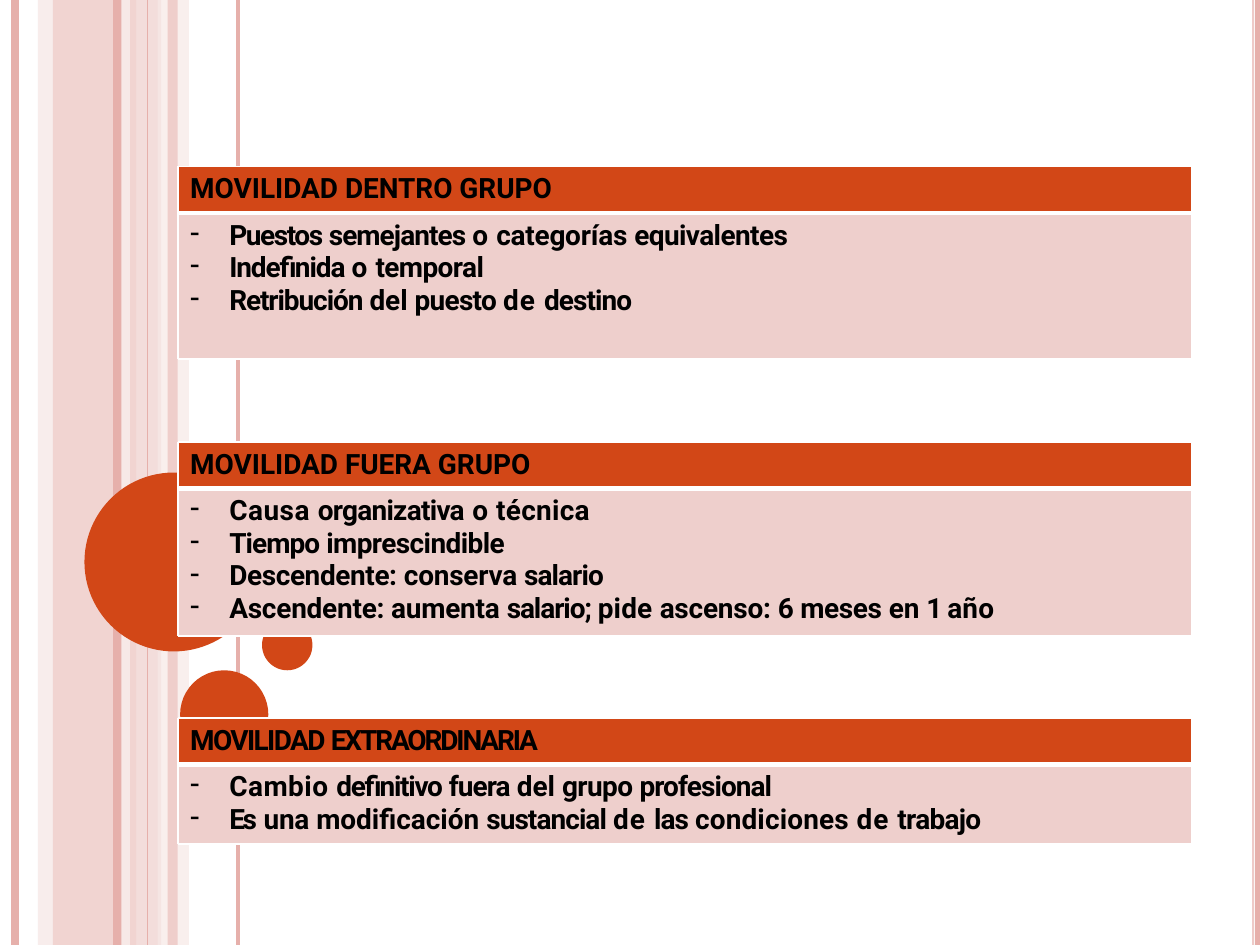
from dataclasses import dataclass
from lxml.etree import SubElement
from pptx import Presentation
from pptx.dml.color import RGBColor
from pptx.enum.shapes import MSO_CONNECTOR, MSO_SHAPE
from pptx.oxml.ns import qn
from pptx.util import Inches, Pt


@dataclass(frozen=True)
class Theme:
    accent: str = "D24717"
    rose: str = "E6B0AB"
    pale: str = "EECFCC"
    faint: str = "F7E9E7"
    white: str = "FFFFFF"
    text: str = "000000"
    font: str = "Roboto"
    size: float = 16
    rule: float = 1
    thick_rule: float = 3


THEME = Theme()

# Stripes: left, width, colour, opacity in percent
STRIPES = [
    (0.42, 0.49, THEME.rose, 54), (0.96, 0.01, THEME.rose, 54),
    (1.03, 0.05, THEME.rose, 54), (0.3, 0.12, THEME.pale, 36),
    (1.08, 0.2, THEME.pale, 70), (1.25, 0.25, THEME.faint, 71),
    (9.94, 0.01, THEME.rose, 100), (9.96, 0.04, THEME.rose, 100),
    (1.33, 0.08, THEME.rose, 51),
]
# Full-height lines: x, colour, width
LINES = [(0.12, THEME.rose, 4.56), (1, THEME.faint, 4.56),
         (0.93, THEME.rose, 4.56), (1.17, THEME.rose, 0.72)]
# Inner line, broken where the blocks cover it
INNER_X = 1.89
INNER_SPANS = [(0, 1.33), (2.85, 3.52), (3.88, 5.7), (6.7, 7.5)]
# Circles: left, top, diameter
CIRCLES = [(0.67, 3.75, 1.42), (1.43, 5.32, 0.7), (2.08, 4.92, 0.4)]

# Blocks: heading runs, bullet paragraphs, body height, gap below.
# A run is its text and its letter spacing in points.
BLOCKS = [
    ([("MOVILIDAD DENTRO GRUPO", 0)],
     [[("Puestos ", -0.8), ("semejantes ", -0.5), ("o ", 0.3),
       ("categorías ", -0.1), ("equivalentes", -0.3)],
      [("Indefinida ", -0.6), ("o ", 0.3), ("temporal", -0.3)],
      [("Retribución ", -0.6), ("del ", 0), ("puesto ", -0.4),
       ("de ", 0.6), ("destino", -0.5)]],
     1.16, 0.66),
    ([("MOVILIDAD FUERA GRUPO", 0)],
     [[("Causa ", 0.3), ("organizativa", -0.4), (" o ", 0.3), ("técnica", 0.2)],
      [("Tiempo ", -0.5), ("imprescindible", -0.3)],
      [("Descendente: ", -0.2), ("conserva ", -0.1), ("salario", -0.5)],
      [("Ascendente: aumenta ", -0.1), ("salario; ", -0.6), ("pide ", 0.1),
       ("ascenso: ", -0.1), ("6", -1.2), (" meses ", -0.2), ("en ", 0),
       ("1 ", -1.2), ("año", 0.1)]],
     1.17, 0.65),
    ([("MOVILIDAD ", -0.9), ("EXTRAORDINARIA", -1.2)],
     [[("Cambio ", 0.3), ("definitivo ", -0.7), ("fuera ", -0.5),
       ("del ", 0), ("grupo ", -0.3), ("profesional", -0.5)],
      [("Es", -1.4), (" una ", -0.1), ("modificación ", 0),
       ("sustancial ", -0.5), ("de ", 0.6), ("las ", -0.5),
       ("condiciones ", 0.1), ("de ", 0.6), ("trabajo", -0.4)]],
     0.63, 0),
]
HEADING_HEIGHT = 0.37


def rgb(color):
    return RGBColor.from_string(color)


def add_filled(s, kind, x, y, w, h, color, opacity=100):
    sp = s.shapes.add_shape(kind, Inches(x), Inches(y), Inches(w), Inches(h))
    sp.shadow.inherit = False
    sp.line.fill.background()
    sp.fill.solid()
    sp.fill.fore_color.rgb = rgb(color)
    if opacity < 100:
        clr = sp.fill._xPr.find(qn("a:solidFill"))[0]
        SubElement(clr, qn("a:alpha"), val=str(opacity * 1000))


def add_vertical(s, x, top, bottom, color, width):
    cx = s.shapes.add_connector(MSO_CONNECTOR.STRAIGHT, Inches(x), Inches(top),
                                Inches(x), Inches(bottom))
    cx.line.color.rgb = rgb(color)
    cx.line.width = Pt(width)
    SubElement(cx._element.spPr, qn("a:effectLst"))


def add_backdrop(s, height):
    for x, w, color, opacity in STRIPES:
        add_filled(s, MSO_SHAPE.RECTANGLE, x, 0, w, height, color, opacity)
    for x, color, width in LINES:
        add_vertical(s, x, 0, height, color, width)
    for top, bottom in INNER_SPANS:
        add_vertical(s, INNER_X, top, bottom, THEME.rose, 2.28)
    for x, y, d in CIRCLES:
        add_filled(s, MSO_SHAPE.OVAL, x, y, d, d, THEME.accent)


def style_cell(cell, fill, top, bottom):
    """Set fill, margins and borders; a width of 0 means no border."""
    cell.margin_left = cell.margin_right = cell.margin_bottom = 0
    cell.margin_top = Inches(0.05)
    if fill:
        cell.fill.solid()
        cell.fill.fore_color.rgb = rgb(fill)
    else:
        cell.fill.background()
    tcPr = cell._tc.get_or_add_tcPr()
    sides = [("lnL", 0), ("lnR", 0), ("lnT", top), ("lnB", bottom)]
    for i, (tag, width) in enumerate(sides):
        ln = SubElement(tcPr, qn(f"a:{tag}"), w=str(Pt(width)))
        tcPr.insert(i, ln)
        if width:
            solid = SubElement(ln, qn("a:solidFill"))
            SubElement(solid, qn("a:srgbClr"), val=THEME.white)
        else:
            SubElement(ln, qn("a:noFill"))


def add_paragraphs(tf, paragraphs, margin, indent=0, bullet=None):
    for i, runs in enumerate(paragraphs):
        p = tf.add_paragraph() if i else tf.paragraphs[0]
        p.space_before = Pt(0 if i else 3.4)
        pPr = p._p.get_or_add_pPr()
        pPr.set("marL", str(Inches(margin)))
        pPr.set("indent", str(Inches(indent)))
        if bullet:
            SubElement(pPr, qn("a:buChar"), char=bullet)
        for text, spacing in runs:
            r = p.add_run()
            r.text = text
            r.font.name = THEME.font
            r.font.size = Pt(THEME.size)
            r.font.bold = True
            r.font.color.rgb = rgb(THEME.text)
            r._r.get_or_add_rPr().set("spc", str(round(spacing * 100)))


def add_blocks(s, x, y, w):
    heights = [h for _, _, body, gap in BLOCKS
               for h in (HEADING_HEIGHT, body, gap) if h]
    frame = s.shapes.add_table(len(heights), 1, Inches(x), Inches(y),
                               Inches(w), Inches(sum(heights)))
    tbl = frame.table
    tbl.first_row = tbl.horz_banding = False
    for row, h in zip(tbl.rows, heights):
        row.height = Inches(h)

    top = y
    for i, (heading, bullets, body, gap) in enumerate(BLOCKS):
        head_cell, body_cell = tbl.cell(3 * i, 0), tbl.cell(3 * i + 1, 0)
        style_cell(head_cell, THEME.accent, THEME.rule, THEME.thick_rule)
        add_paragraphs(head_cell.text_frame, [heading], 0.1)
        style_cell(body_cell, THEME.pale, THEME.thick_rule, THEME.rule)
        add_paragraphs(body_cell.text_frame, bullets, 0.41, -0.31, "-")
        if gap:
            style_cell(tbl.cell(3 * i + 2, 0), None, THEME.rule, THEME.rule)
        # White edges beside the block
        bottom = top + HEADING_HEIGHT + body
        for edge in (x, x + w):
            add_vertical(s, edge, top, bottom, THEME.white, THEME.rule)
        top = bottom + gap


def main():
    prs = Presentation()
    prs.slide_width, prs.slide_height = Inches(10), Inches(7.5)
    s = prs.slides.add_slide(prs.slide_layouts[6])
    add_backdrop(s, 7.5)
    add_blocks(s, 1.41, 1.32, 8.05)
    prs.save("out.pptx")


if __name__ == "__main__":
    main()
